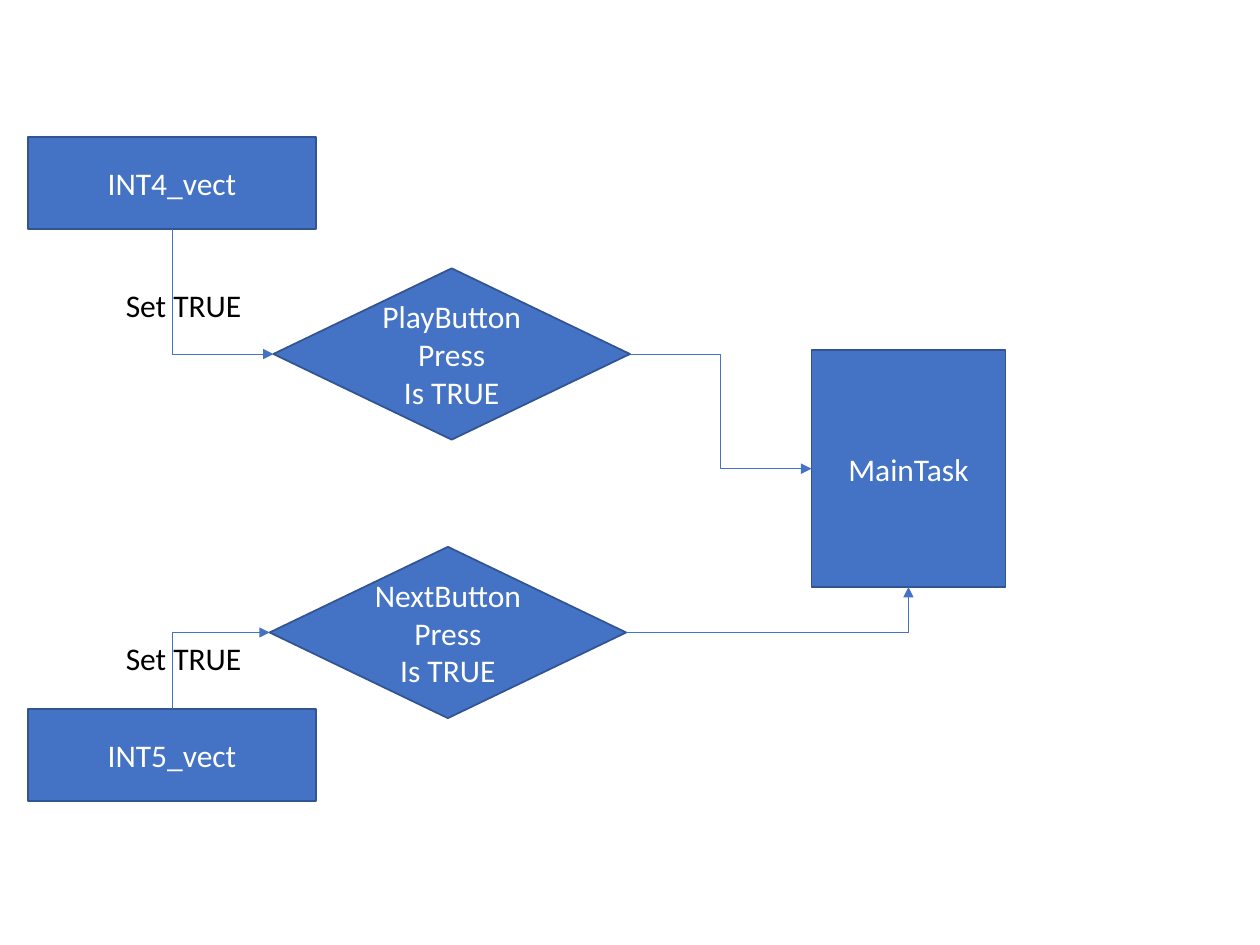
"""Build a flow slide: two interrupts set flags that lead to the main task."""
from lxml import etree
from pptx import Presentation
from pptx.dml.color import RGBColor
from pptx.enum.shapes import MSO_CONNECTOR, MSO_SHAPE
from pptx.enum.text import MSO_ANCHOR, PP_ALIGN
from pptx.oxml.ns import qn
from pptx.util import Inches, Pt

RECT = MSO_SHAPE.RECTANGLE
TEST = MSO_SHAPE.FLOWCHART_DECISION
ELBOW = MSO_CONNECTOR.ELBOW
MIDDLE, TOP = MSO_ANCHOR.MIDDLE, MSO_ANCHOR.TOP
CENTER, LEFT = PP_ALIGN.CENTER, PP_ALIGN.LEFT
UP, DOWN = 5400000, 16200000
COLOR = {"fill": "4472C4", "edge": "325491", "light": "FFFFFF", "dark": "000000"}


def write(shape, text, color="light", align=CENTER, anchor=MIDDLE, wrap=True):
    frame = shape.text_frame
    frame.word_wrap = wrap
    frame.vertical_anchor = anchor
    frame.text = text
    for para in frame.paragraphs:
        para.alignment = align
        font = para.runs[0].font
        font.name = "Calibri"
        font.size = Pt(18)
        font.color.rgb = RGBColor.from_string(COLOR[color])


deck = Presentation()
deck.slide_width, deck.slide_height = Inches(10), Inches(7.5)
slide = deck.slides.add_slide(deck.slide_layouts[6])

nodes = {}
for name, kind, text, x, y, w, h in [
    ("main", RECT, "MainTask", 6.44, 2.78, 1.54, 1.88),
    ("int4", RECT, "INT4_vect", 0.22, 1.09, 2.29, 0.73),
    ("int5", RECT, "INT5_vect", 0.22, 5.63, 2.29, 0.73),
    ("next", TEST, "NextButtonPress\nIs TRUE", 2.14, 4.34, 2.83, 1.36),
    ("play", TEST, "PlayButtonPress\nIs TRUE", 2.17, 2.13, 2.83, 1.36),
]:
    node = slide.shapes.add_shape(kind, Inches(x), Inches(y), Inches(w), Inches(h))
    node.shadow.inherit = False
    node.fill.solid()
    node.fill.fore_color.rgb = RGBColor.from_string(COLOR["fill"])
    node.line.color.rgb = RGBColor.from_string(COLOR["edge"])
    node.line.width = Pt(1)
    write(node, text)
    nodes[name] = node

for y in (5.02, 2.22):
    label = slide.shapes.add_textbox(Inches(0.9), Inches(y), Inches(1.13), Inches(0.71))
    write(label, "Set TRUE", color="dark", align=LEFT, anchor=TOP, wrap=False)

for start, out, end, into, preset, turn in [
    ("int5", 0, "next", 1, "bentConnector2", UP),
    ("int4", 2, "play", 1, "bentConnector2", DOWN),
    ("next", 3, "main", 2, "bentConnector2", 0),
    ("play", 3, "main", 1, "bentConnector3", 0),
]:
    link = slide.shapes.add_connector(ELBOW, 0, 0, 0, 0)
    link.begin_connect(nodes[start], out)
    link.end_connect(nodes[end], into)
    link.line.color.rgb = RGBColor.from_string(COLOR["fill"])
    link.line.width = Pt(0.5)
    props = link._element.spPr
    props.find(qn("a:prstGeom")).set("prst", preset)
    etree.SubElement(props.find(qn("a:ln")), qn("a:tailEnd"), type="triangle")
    etree.SubElement(props, qn("a:effectLst"))
    if turn:
        wide, tall = link.width, link.height
        link.left += (wide - tall) // 2
        link.top += (tall - wide) // 2
        link.width, link.height = tall, wide
        frame = props.find(qn("a:xfrm"))
        frame.set("rot", str(turn))
        frame.set("flipH", "1")
        frame.set("flipV", "1" if turn == UP else "0")

deck.save("out.pptx")
